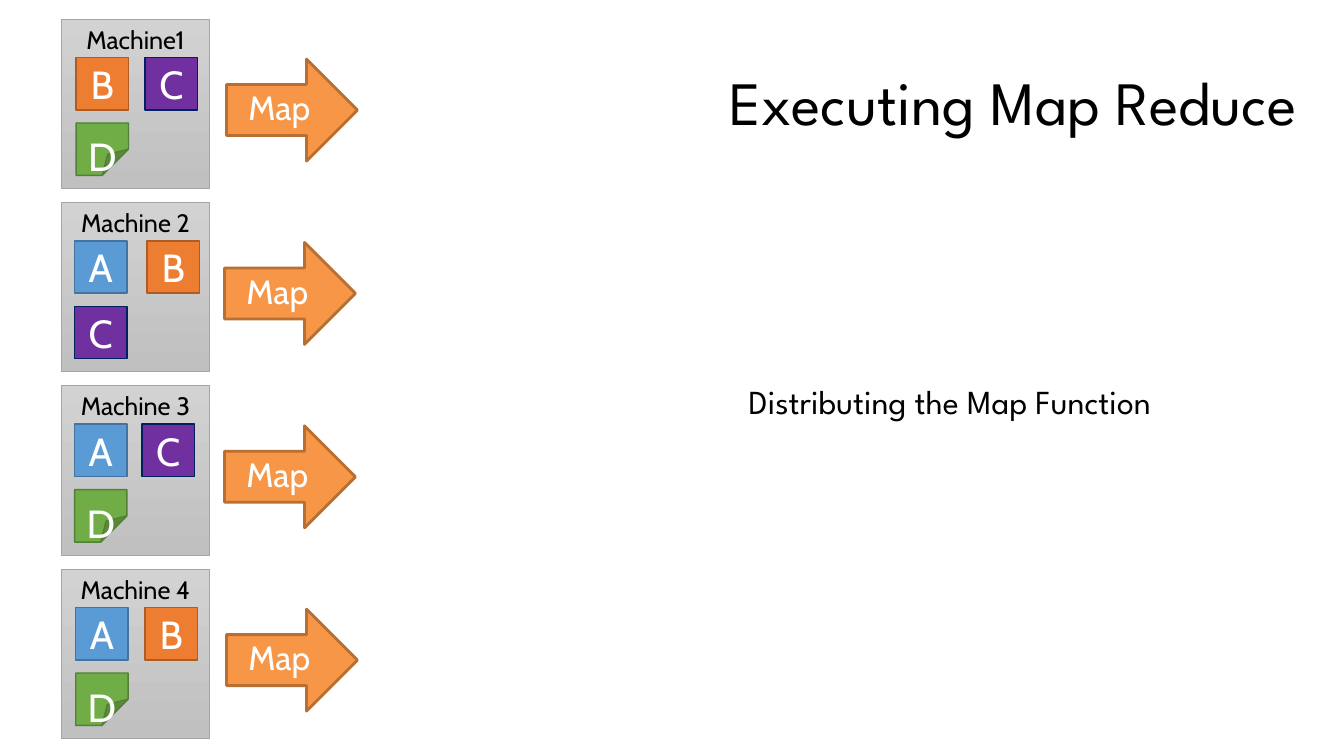
from dataclasses import dataclass
from typing import Any

from lxml import etree
from pptx import Presentation
from pptx import util as u
from pptx.dml import color as rgb
from pptx.enum import shapes, text
from pptx.oxml import ns

HUES = {
    "black": "000000", "white": "FFFFFF",
    "light": "D2D2D2", "dark": "C0C0C0", "edge": "A5A5A5",
    "map": "F79646", "map edge": "B76F34",
    "A": "5B9BD5", "A edge": "43739E",
    "B": "ED7D31", "B edge": "AF5C24",
    "C": "7030A0", "C edge": "002060",
    "D": "70AD47", "D edge": "538035",
}
BODY, HEAD = "Cabin", "League Spartan"
RECT = shapes.MSO_SHAPE.RECTANGLE
FOLD = shapes.MSO_SHAPE.FOLDED_CORNER
ARROW = shapes.MSO_SHAPE.RIGHT_ARROW
MID = {"vertical_anchor": text.MSO_ANCHOR.MIDDLE}
TOP = {"vertical_anchor": text.MSO_ANCHOR.TOP}
LOW = MID | {"margin_top": u.Cm(1.02), "margin_bottom": 0}
HIGH = MID | {"margin_top": 0, "margin_bottom": u.Cm(0.13)}
LEFT, START, STEP = 1.55, 0.48, 4.62
SIDE = 1.32


@dataclass
class Box:
    left: float
    top: float
    width: float
    height: float

    def place(self) -> list[u.Cm]:
        return [u.Cm(n) for n in (self.left, self.top, self.width, self.height)]


@dataclass
class Node:
    name: str
    blocks: str
    first: float
    second: float
    arrow: float


NODES = [
    Node("Machine1", "BCD", 1.92, 3.66, 5.71),
    Node("Machine 2", "ABC", 1.88, 3.71, 5.66),
    Node("Machine 3", "ACD", 1.88, 3.58, 5.66),
    Node("Machine 4", "ABD", 1.91, 3.66, 5.71),
]


def hue(name: str) -> rgb.RGBColor:
    return rgb.RGBColor.from_string(HUES[name])


def apply(item: Any, values: dict[str, Any]) -> None:
    for key, value in values.items():
        setattr(item, key, value)


def write(shape: Any, words: str, size: int, font: str, tint: str,
          align: text.PP_ALIGN, frame: dict[str, Any]) -> None:
    body = shape.text_frame
    apply(body, {"word_wrap": True} | frame)
    para = body.paragraphs[0]
    para.alignment = align
    run = para.add_run()
    run.text = words
    apply(run.font, {"size": u.Pt(size), "name": font})
    run.font.color.rgb = hue(tint)


def draw(host: Any, kind: shapes.MSO_SHAPE, box: Box, words: str, size: int,
         tint: str, fill: str, edge: str, line: float, frame: dict[str, Any]) -> Any:
    shape = host.add_shape(kind, *box.place())
    shape.shadow.inherit = False
    shape.fill.solid()
    shape.fill.fore_color.rgb = hue(fill)
    shape.line.color.rgb = hue(edge)
    shape.line.width = u.Pt(line)
    write(shape, words, size, BODY, tint, text.PP_ALIGN.CENTER, frame)
    return shape


def shade(shape: Any) -> None:
    """Fill with the grey fade from top to bottom."""
    shape.fill.gradient()
    shape.fill.gradient_angle = 270
    for stop, name in zip(shape.fill.gradient_stops, ("light", "dark")):
        stop.color.rgb = hue(name)


def crease(shape: Any) -> None:
    """Make the folded corner half as wide as the shape."""
    guides = shape.element.find(".//" + ns.qn("a:avLst"))
    etree.SubElement(guides, ns.qn("a:gd"), name="adj", fmla="val 50000")


def draw_node(host: Any, node: Node, top: float) -> None:
    group = host.add_group_shape().shapes
    case = draw(group, RECT, Box(LEFT, top, 3.73, 4.27), node.name, 18,
                "black", "light", "edge", 0.5, TOP)
    shade(case)
    spots = [(node.first, 0.97), (node.second, 0.97), (node.first, 2.62)]
    for mark, (left, drop) in zip(node.blocks, spots):
        fold = mark == "D"
        tile = draw(group, FOLD if fold else RECT,
                    Box(left, top + drop, SIDE, SIDE), mark, 28,
                    "white", mark, f"{mark} edge", 1, LOW if fold else MID)
        if fold:
            crease(tile)
    draw(host, ARROW, Box(node.arrow, top + 1.01, 3.3, 2.57), "Map", 24,
         "white", "map", "map edge", 2, HIGH)


def label(host: Any, box: Box, words: str, size: int,
          align: text.PP_ALIGN, frame: dict[str, Any]) -> Any:
    shape = host.add_textbox(*box.place())
    write(shape, words, size, HEAD, "black", align, frame)
    return shape


def main() -> None:
    deck = Presentation()
    apply(deck, {"slide_width": u.Cm(33.87), "slide_height": u.Cm(19.05)})
    host = deck.slides.add_slide(deck.slide_layouts[6]).shapes
    title = label(host, Box(8.26, 0.81, 24.69, 3.68), "Executing Map Reduce",
                  44, text.PP_ALIGN.RIGHT, MID)
    title.text_frame.paragraphs[0].line_spacing = 0.9
    for row, node in enumerate(NODES):
        draw_node(host, node, START + row * STEP)
    label(host, Box(18.62, 9.47, 12.6, 1.27), "Distributing the Map Function",
          24, text.PP_ALIGN.LEFT,
          {"word_wrap": False, "auto_size": text.MSO_AUTO_SIZE.SHAPE_TO_FIT_TEXT})
    deck.save("out.pptx")


if __name__ == "__main__":
    main()
